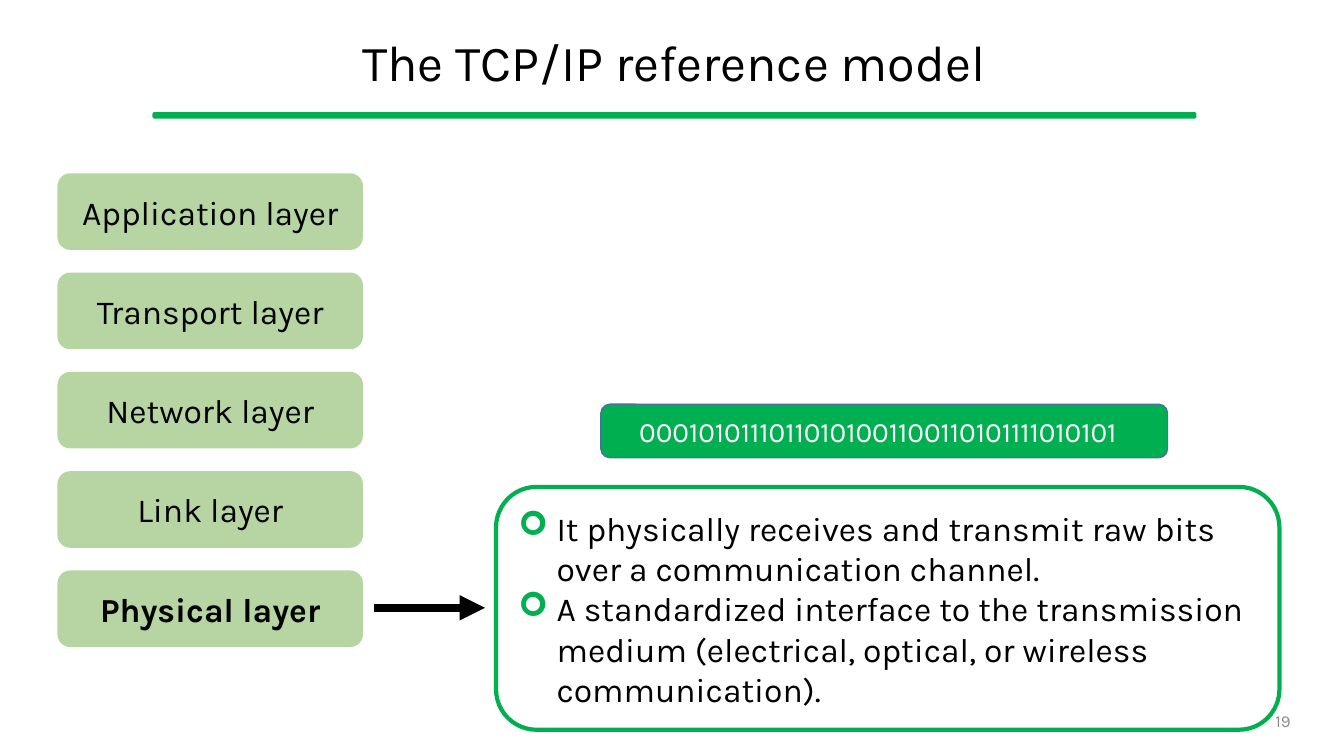
import dataclasses

import pptx
import pptx.dml.color
import pptx.enum.shapes
import pptx.enum.text
import pptx.oxml
import pptx.oxml.ns
import pptx.util

SHAPE = pptx.enum.shapes.MSO_SHAPE
ALIGN = pptx.enum.text.PP_ALIGN
MIDDLE = pptx.enum.text.MSO_ANCHOR.MIDDLE
NO_FIT = pptx.enum.text.MSO_AUTO_SIZE.NONE
inches = pptx.util.Inches


@dataclasses.dataclass(frozen=True)
class Theme:
    """Colours, font and type sizes of the slide."""
    font: str = "Karla"
    ink: str = "000000"
    paper: str = "FFFFFF"
    accent: str = "00B050"
    layer: str = "70AD47"
    bar_edge: str = "43739E"
    muted: str = "8C8C8C"
    title: int = 36
    body: int = 24
    bits: int = 20
    number: int = 12


@dataclasses.dataclass(frozen=True)
class Box:
    """A rectangle in inches."""
    x: float
    y: float
    w: float
    h: float

    def share(self, x, y, w, h):
        """Return an inner box given in percent of this one."""
        return Box(self.x + self.w * x / 100, self.y + self.h * y / 100,
                   self.w * w / 100, self.h * h / 100)

    def inset(self, d):
        """Return this box shrunk by d inches on every side."""
        return Box(self.x + d, self.y + d, self.w - 2 * d, self.h - 2 * d)

    def emu(self):
        """Return left, top, width and height as lengths."""
        return [inches(v) for v in (self.x, self.y, self.w, self.h)]


THEME = Theme()
SLIDE = Box(0, 0, 13.33, 7.5)
LAYERS = ["Application layer", "Transport layer", "Network layer", "Link layer", "Physical layer"]
DUTIES = [
    "It physically receives and transmit raw bits over a communication channel.",
    "A standardized interface to the transmission medium (electrical, optical, or wireless communication).",
]


def rgb(color):
    """Turn a hex string into a colour."""
    return pptx.dml.color.RGBColor.from_string(color)


def element(xml):
    """Parse one drawing element such as 'a:effectLst'."""
    tag, _, rest = xml.partition(" ")
    return pptx.oxml.parse_xml(f"<{tag} {pptx.oxml.ns.nsdecls('a')} {rest}/>")


def write(p, text, size, color=THEME.ink, align=ALIGN.LEFT, bold=False):
    """Add one formatted run to a paragraph."""
    p.alignment = align
    r = p.add_run()
    r.text = text
    r.font.name, r.font.size, r.font.bold = THEME.font, pptx.util.Pt(size), bold
    r.font.color.rgb = rgb(color)


def place(sp, box):
    """Move a text shape to a box and centre its text vertically."""
    sp.left, sp.top, sp.width, sp.height = box.emu()
    tf = sp.text_frame
    tf.auto_size, tf.word_wrap, tf.vertical_anchor = NO_FIT, True, MIDDLE
    return tf


def rounded(s, box, fill=None, line=None, width=1):
    """Draw a rounded rectangle."""
    sp = s.shapes.add_shape(SHAPE.ROUNDED_RECTANGLE, *box.emu())
    sp.shadow.inherit = False
    if fill:
        sp.fill.solid()
        sp.fill.fore_color.rgb = rgb(fill)
    else:
        sp.fill.background()
    if line:
        sp.line.color.rgb = rgb(line)
        sp.line.width = pptx.util.Pt(width)
    else:
        sp.line.fill.background()
    sp.text_frame.word_wrap, sp.text_frame.vertical_anchor = True, MIDDLE
    return sp


def add_heading(s, box, text):
    """Fill the title placeholder and draw the rule under it."""
    p = place(s.shapes.title, box.share(3.53, 2.4, 93.25, 12.53)).paragraphs[0]
    p.line_spacing = 0.9
    write(p, text, THEME.title, align=ALIGN.CENTER)
    rule = rounded(s, box.share(11.4, 14.93, 77.57, 0.67), THEME.accent, THEME.accent)
    rule.adjustments[0] = 0.26


def add_layers(s, box, names, current):
    """Stack the layers evenly and embolden the current one."""
    height = 16.17
    pitch = (100 - height) / (len(names) - 1)
    for i, name in enumerate(names):
        sp = rounded(s, box.share(0, i * pitch, 100, height), THEME.layer)
        fill = sp._element.spPr.find(pptx.oxml.ns.qn("a:solidFill"))
        fill[0].append(element('a:alpha val="50000"'))
        write(sp.text_frame.paragraphs[0], name, THEME.body,
              align=ALIGN.CENTER, bold=name == current)


def add_arrow(s, box):
    """Draw an arrow along the top edge of a box."""
    x, y, w, _ = box.emu()
    c = s.shapes.add_connector(pptx.enum.shapes.MSO_CONNECTOR.STRAIGHT, x, y, x + w, y)
    c.line.color.rgb = rgb(THEME.ink)
    c.line.width = pptx.util.Pt(6)
    c.line._get_or_add_ln().append(element('a:tailEnd type="triangle"'))
    c._element.spPr.append(element("a:effectLst"))


def add_bits(s, box, bits):
    """Draw the bar that carries the raw bits."""
    sp = rounded(s, box, THEME.accent, THEME.bar_edge)
    sp.text_frame.margin_right = inches(0.22)
    write(sp.text_frame.paragraphs[0], bits, THEME.bits, THEME.paper, ALIGN.CENTER)


def add_duties(s, box, items):
    """Frame the body placeholder and list the duties in it."""
    rounded(s, box, line=THEME.accent, width=3)
    tf = place(s.placeholders[1], box.inset(0.12))
    for i, item in enumerate(items):
        p = tf.add_paragraph() if i else tf.paragraphs[0]
        pPr = p._p.get_or_add_pPr()
        pPr.set("marL", str(inches(0.38)))
        pPr.set("indent", str(-inches(0.38)))
        color = element("a:buClr")
        color.append(element(f'a:srgbClr val="{THEME.accent}"'))
        pPr.extend([color, element('a:buFont typeface="Wingdings"'),
                    element('a:buChar char="➢"')])
        p.space_before = pptx.util.Pt(0)
        write(p, item, THEME.body)


def add_number(s, box, number):
    """Write the page number at the right of a box."""
    tf = place(s.shapes.add_textbox(*box.emu()), box)
    write(tf.paragraphs[0], number, THEME.number, THEME.muted, ALIGN.RIGHT)


def main():
    """Build and save the slide."""
    prs = pptx.Presentation()
    prs.slide_width, prs.slide_height = inches(SLIDE.w), inches(SLIDE.h)
    s = prs.slides.add_slide(prs.slide_layouts[1])
    add_heading(s, SLIDE, "The TCP/IP reference model")
    add_number(s, SLIDE.share(70.67, 92.67, 26.1, 5.33), "19")
    add_duties(s, SLIDE.share(36.91, 64.4, 58.29, 32.13), DUTIES)
    add_arrow(s, SLIDE.share(27.83, 80.4, 8.25, 0))
    add_layers(s, SLIDE.share(4.28, 22.93, 22.73, 62.67), LAYERS, "Physical layer")
    add_bits(s, SLIDE.share(44.71, 53.47, 42.16, 7.07), "00010101110110101001100110101111010101")
    prs.save("out.pptx")


if __name__ == "__main__":
    main()
